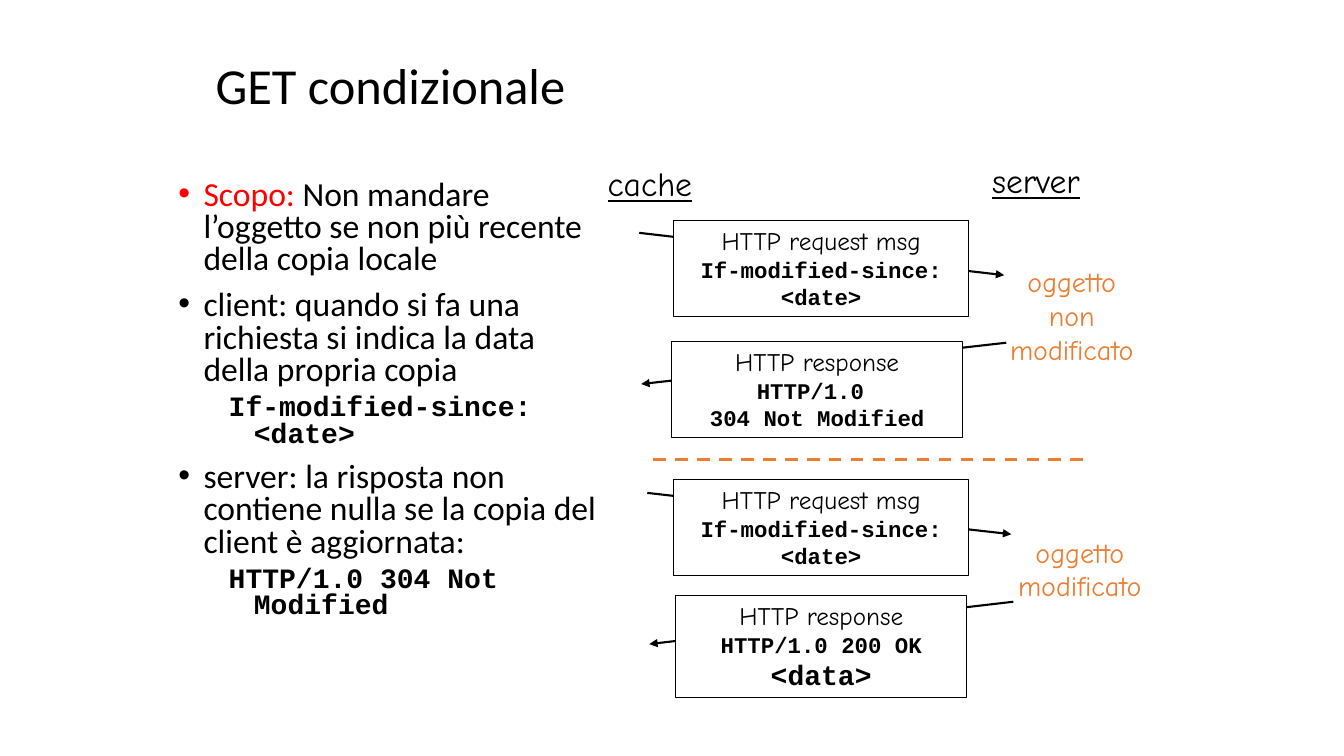
from lxml import etree
from pptx import Presentation
from pptx.dml.color import RGBColor
from pptx.enum.dml import MSO_LINE
from pptx.enum.shapes import MSO_CONNECTOR, MSO_SHAPE
from pptx.enum.text import MSO_ANCHOR, PP_ALIGN
from pptx.oxml.ns import qn
from pptx.util import Inches, Pt

STRAIGHT, RECT = MSO_CONNECTOR.STRAIGHT, MSO_SHAPE.RECTANGLE
CENTER, TOP, MIDDLE = PP_ALIGN.CENTER, MSO_ANCHOR.TOP, MSO_ANCHOR.MIDDLE
DASH = MSO_LINE.DASH
BLACK, WHITE, RED, ORANGE = "000000", "FFFFFF", "FF0000", "ED7D31"
SANS, HAND, MONO = "Calibri", "Comic Neue", "Courier New"

TITLE = "GET condizionale"
# Each point: runs of (text, colour), then the code line below it
POINTS = [
    ([("Scopo:", RED), (" Non mandare l’oggetto se non più recente della copia locale", BLACK)], None),
    ([("client: quando si fa una richiesta si indica la data della propria copia", BLACK)],
     "If-modified-since: <date>"),
    ([("server: la risposta non contiene nulla se la copia del client è aggiornata:", BLACK)],
     "HTTP/1.0 304 Not Modified"),
]
REQUEST = [("HTTP request msg", 18, HAND), ("If-modified-since: <date>", 16, MONO)]
NOT_MODIFIED = [("HTTP response", 18, HAND), ("HTTP/1.0 ", 16, MONO), ("304 Not Modified", 16, MONO)]
OK = [("HTTP response", 18, HAND), ("HTTP/1.0 200 OK", 16, MONO), ("<data>", 20, MONO)]
# Each message: arrow start, arrow end, box, lines
MESSAGES = [
    ((6.34, 2.31), (9.96, 2.73), (6.68, 2.19, 2.93, 0.95), REQUEST),
    ((9.98, 3.4), (6.36, 3.81), (6.66, 3.39, 2.89, 0.95), NOT_MODIFIED),
    ((6.42, 4.89), (10.03, 5.3), (6.68, 4.76, 2.93, 0.95), REQUEST),
    ((10.05, 5.97), (6.44, 6.39), (6.7, 5.91, 2.89, 1.01), OK),
]
# Each label: box, lines, size, colour, underlined
LABELS = [
    ((5.9, 1.57, 1.09, 0.5), ["cache"], 24, BLACK, True),
    ((9.67, 1.54, 1.21, 0.5), ["server"], 24, BLACK, True),
    ((9.84, 2.58, 1.58, 1.1), ["oggetto", "non", "modificato"], 20, ORANGE, False),
    ((9.92, 5.26, 1.58, 0.77), ["oggetto", "modificato"], 20, ORANGE, False),
]
DIVIDER = (6.48, 4.56), (10.75, 4.56)

prs = Presentation()
prs.slide_width, prs.slide_height = Inches(13.33), Inches(7.5)
s = prs.slides.add_slide(prs.slide_layouts[6])


def rgb(color):
    return RGBColor.from_string(color)


def add_run(p, text, size, font, color=BLACK, underline=False):
    r = p.add_run()
    r.text = text
    r.font.size, r.font.name, r.font.color.rgb = Pt(size), font, rgb(color)
    r.font.bold = font == MONO
    if underline:
        r.font.underline = True


def next_paragraph(tf):
    """Return the empty first paragraph, or add one after the text."""
    return tf.add_paragraph() if tf.paragraphs[0].runs else tf.paragraphs[0]


def add_text(box, wrap=True, anchor=TOP):
    tf = s.shapes.add_textbox(*map(Inches, box)).text_frame
    tf.word_wrap, tf.vertical_anchor = wrap, anchor
    return tf


def add_centered(tf, lines, color=BLACK, underline=False):
    for text, size, font in lines:
        p = next_paragraph(tf)
        p.alignment = CENTER
        add_run(p, text, size, font, color, underline)


def add_line(start, end, color, width):
    line = s.shapes.add_connector(STRAIGHT, *map(Inches, start + end))
    line.line.color.rgb, line.line.width = rgb(color), Pt(width)
    etree.SubElement(line._element.spPr, qn("a:effectLst"))
    return line


def add_point_paragraph(tf, left, space, bullet=None):
    """Add a paragraph with a hanging indent of a quarter inch."""
    p = next_paragraph(tf)
    pPr = p._p.get_or_add_pPr()
    pPr.set("marL", str(Inches(left)))
    pPr.set("indent", str(Inches(-0.25)))
    if bullet:
        etree.SubElement(pPr, qn("a:buFont")).set("typeface", "Arial")
        etree.SubElement(pPr, qn("a:buChar")).set("char", bullet)
    else:
        etree.SubElement(pPr, qn("a:buNone"))
    p.line_spacing = 0.8
    if p._p is not tf.paragraphs[0]._p:
        p.space_before = Pt(space)
    return p


p = add_text((2.04, 0.25, 8.71, 1.25), anchor=MIDDLE).paragraphs[0]
p.line_spacing = 0.9
add_run(p, TITLE, 36, SANS)

body = add_text((1.67, 1.74, 4.42, 4.71))
for runs, code in POINTS:
    p = add_point_paragraph(body, 0.25, 10, "•")
    for text, color in runs:
        add_run(p, text, 24, SANS, color)
    if code:
        add_run(add_point_paragraph(body, 0.75, 5), code, 20, MONO)

for start, end, box, lines in MESSAGES:
    arrow = add_line(start, end, BLACK, 1.5)
    etree.SubElement(arrow.line._get_or_add_ln(), qn("a:tailEnd")).set("type", "triangle")
    sp = s.shapes.add_shape(RECT, *map(Inches, box))
    sp.shadow.inherit = False
    sp.fill.solid()
    sp.fill.fore_color.rgb = rgb(WHITE)
    sp.line.color.rgb, sp.line.width = rgb(BLACK), Pt(0.75)
    sp.text_frame.word_wrap, sp.text_frame.vertical_anchor = True, TOP
    add_centered(sp.text_frame, lines)

for box, lines, size, color, underline in LABELS:
    add_centered(add_text(box, wrap=False), [(text, size, HAND) for text in lines], color, underline)

add_line(*DIVIDER, ORANGE, 2.25).line.dash_style = DASH

prs.save("out.pptx")
